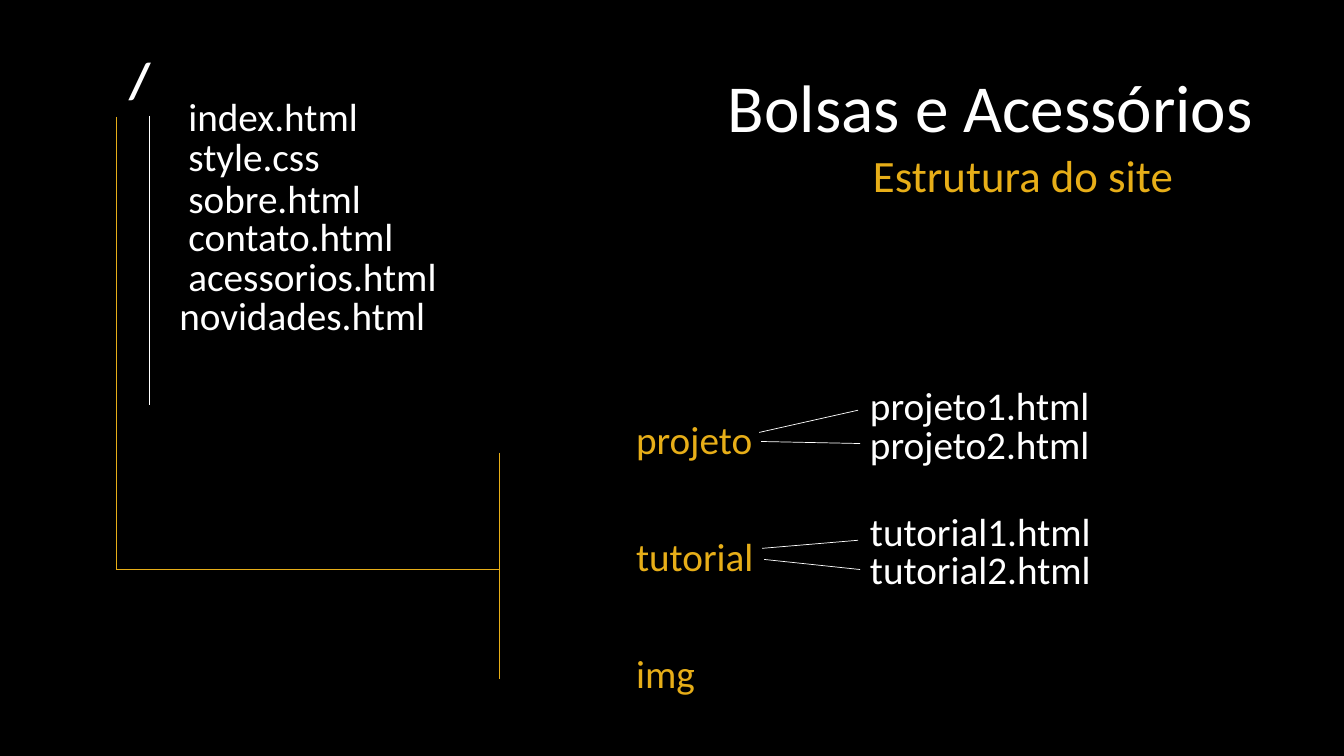
from lxml.etree import SubElement
from pptx import Presentation
from pptx.dml.color import RGBColor
from pptx.enum.shapes import MSO_CONNECTOR
from pptx.enum.text import MSO_AUTO_SIZE
from pptx.oxml.ns import qn
from pptx.util import Emu, Pt

BLACK = RGBColor(0x00, 0x00, 0x00)
WHITE = RGBColor(0xFF, 0xFF, 0xFF)
GOLD = RGBColor(0xE7, 0xAE, 0x18)
EMU_PER_PX = 9144


def px(length):
    """Turn px, a hundred to the inch, into EMU."""
    return Emu(length * EMU_PER_PX)


class SiteMap:
    """Draw labels and thin lines on one slide in a shared style."""

    font_name = "Calibri"
    file_size = 28
    line_width = Pt(0.5)

    def __init__(self, presentation):
        """Add a blank slide with a black background."""
        self.slide = presentation.slides.add_slide(presentation.slide_layouts[6])
        fill = self.slide.background.fill
        fill.solid()
        fill.fore_color.rgb = BLACK

    def label(self, text, left, top, width, height=57, color=WHITE, size=file_size, bold=False):
        """Add a one-line text box."""
        shape = self.slide.shapes.add_textbox(px(left), px(top), px(width), px(height))
        frame = shape.text_frame
        frame.word_wrap = True
        frame.auto_size = MSO_AUTO_SIZE.SHAPE_TO_FIT_TEXT
        paragraph = frame.paragraphs[0]
        paragraph.text = text
        paragraph.font.name = self.font_name
        paragraph.font.size = Pt(size)
        paragraph.font.bold = bold
        paragraph.font.color.rgb = color

    def file(self, text, left, top):
        """Add the name of a file."""
        self.label(text, left, top, 478)

    def folder(self, text, top):
        """Add the name of a folder."""
        self.label(text, 621, top, 141, color=GOLD)

    def line(self, start, end, color):
        """Add a thin straight line between two points."""
        connector = self.slide.shapes.add_connector(
            MSO_CONNECTOR.STRAIGHT, *map(px, start + end))
        connector.line.color.rgb = color
        connector.line.width = self.line_width
        SubElement(connector._element.spPr, qn("a:effectLst"))


def main():
    """Build the site structure slide and save it."""
    presentation = Presentation()
    presentation.slide_width = px(1333)
    presentation.slide_height = px(750)
    site = SiteMap(presentation)

    site.label("Bolsas e Acessórios", 712, 60, 553, 91, size=48)
    site.label("Estrutura do site", 856, 142, 389, 64, GOLD, 32)
    site.label("/", 118, 43, 79, 71, size=36, bold=True)

    for text, left, top in (
        ("index.html", 177, 87),
        ("style.css", 177, 126),
        ("sobre.html", 177, 168),
        ("contato.html", 177, 206),
        ("acessorios.html", 177, 245),
        ("novidades.html", 168, 284),
        ("projeto1.html", 853, 373),
        ("projeto2.html", 853, 412),
        ("tutorial1.html", 853, 498),
        ("tutorial2.html", 853, 536),
    ):
        site.file(text, left, top)

    for row, text in enumerate(("projeto", "tutorial", "img")):
        site.folder(text, 407 + 116 * row)

    for start, end, color in (
        ((148, 115), (148, 402), WHITE),
        ((115, 116), (115, 565), GOLD),
        ((495, 449), (495, 674), GOLD),
        ((115, 565), (495, 565), GOLD),
        ((851, 407), (753, 429), WHITE),
        ((853, 440), (755, 438), WHITE),
        ((851, 536), (756, 544), WHITE),
        ((853, 565), (758, 555), WHITE),
    ):
        site.line(start, end, color)

    presentation.save("out.pptx")


if __name__ == "__main__":
    main()
